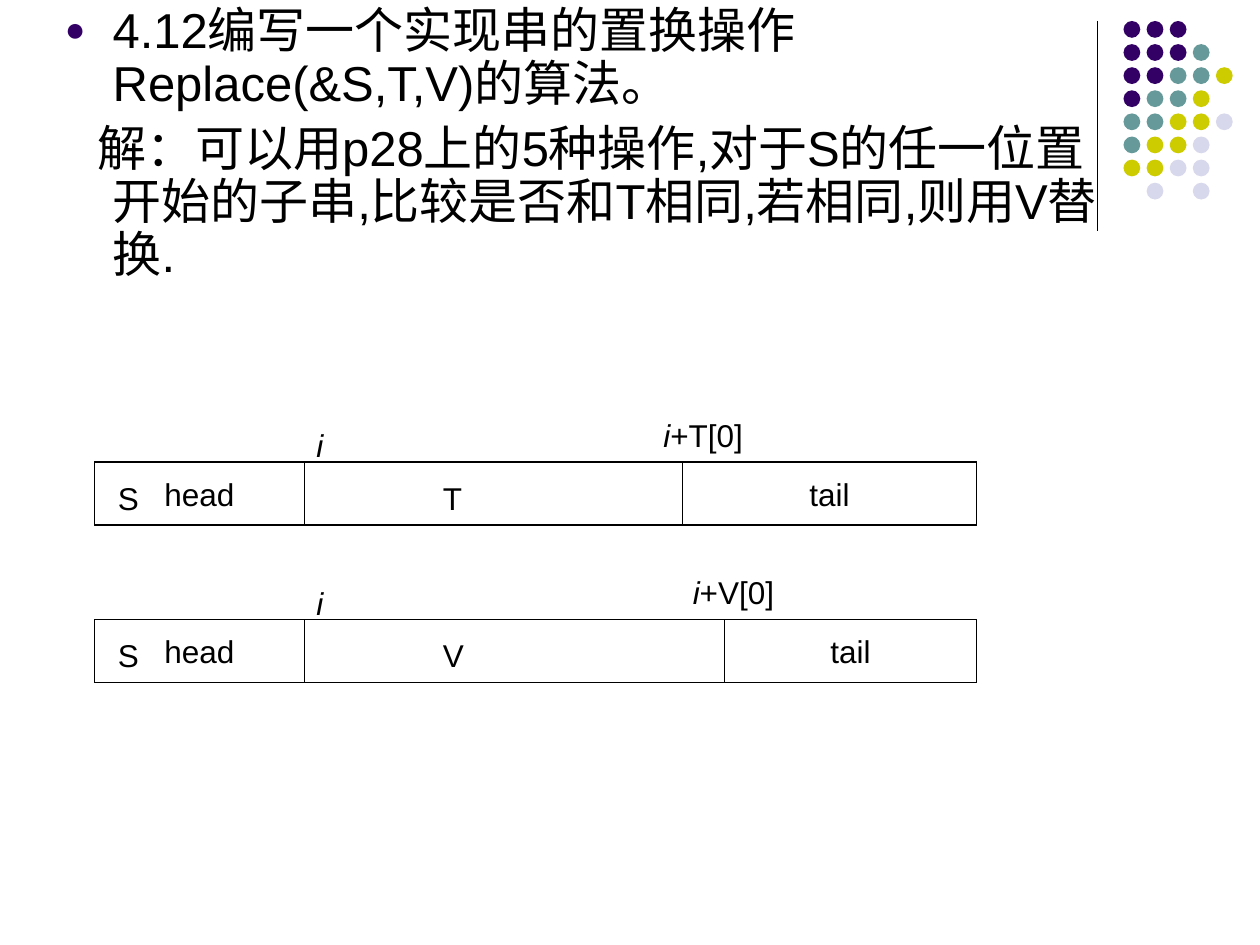
import pptx
import pptx.util
import pptx.dml.color
import pptx.enum.shapes
import pptx.enum.text
import pptx.oxml
import pptx.oxml.ns

THEME = {
    "font": "Arial",
    "body_size": 28,
    "label_size": 18,
    "line_width": 0.75,
    "black": "000000",
    "white": "FFFFFF",
    "dots": {"P": "330066", "T": "669999", "Y": "CCCC00", "L": "D8D8EC"},
}
SHAPES = pptx.enum.shapes.MSO_SHAPE
ALIGN = pptx.enum.text.PP_ALIGN
ANCHOR = pptx.enum.text.MSO_ANCHOR
STRAIGHT = pptx.enum.shapes.MSO_CONNECTOR.STRAIGHT
rgb = pptx.dml.color.RGBColor.from_string

presentation = pptx.Presentation()
presentation.slide_width = pptx.util.Inches(10)
presentation.slide_height = pptx.util.Inches(7.5)
slide = presentation.slides.add_slide(presentation.slide_layouts[6])

# The slide is a grid of 120 columns by 90 rows
UNIT = presentation.slide_width // 120


def grid(*cells):
    return [round(cell * UNIT) for cell in cells]


def write(paragraph, pieces, size):
    """Fill a paragraph with (text, italic) pieces."""
    for text, italic in pieces:
        run = paragraph.add_run()
        run.text = text
        run.font.name = THEME["font"]
        run.font.size = pptx.util.Pt(size)
        run.font.italic = italic
        run.font.color.rgb = rgb(THEME["black"])


# Corner decoration: vertical rule and dot pattern
lines = [(104.5, 2, 104.5, 22)]
dot_rows = ["PPP", "PPPT", "PPTTY", "PTTY", "TTYYL", "TYYL", "YYLL", " L L"]
dot_group = slide.shapes.add_group_shape()
for row, pattern in enumerate(dot_rows):
    for column, key in enumerate(pattern):
        if key == " ":
            continue
        dot = dot_group.shapes.add_shape(
            SHAPES.OVAL, *grid(107 + 2.2 * column, 2 + 2.2 * row, 1.6, 1.6))
        dot.shadow.inherit = False
        dot.fill.solid()
        dot.fill.fore_color.rgb = rgb(THEME["dots"][key])
        dot.line.fill.background()

# Exercise and solution text
body = slide.shapes.add_textbox(*grid(5, 0, 103, 29)).text_frame
body.word_wrap = True
body_texts = [
    ("4.12编写一个实现串的置换操作Replace(&S,T,V)的算法。", -0.38),
    ("解：可以用p28上的5种操作,对于S的任一位置开始的子串,比较是否和T相同,若相同,则用V替换.", -0.12),
]
for index, (text, indent) in enumerate(body_texts):
    paragraph = body.paragraphs[0] if index == 0 else body.add_paragraph()
    paragraph.line_spacing = 0.9
    properties = paragraph._p.get_or_add_pPr()
    properties.set("marL", str(pptx.util.Inches(0.38)))
    properties.set("indent", str(pptx.util.Inches(indent)))
    if index == 0:
        bullet = [
            f'<a:buClr %s><a:srgbClr val="{THEME["dots"]["P"]}"/></a:buClr>',
            '<a:buSzPct %s val="70000"/>',
            f'<a:buFont %s typeface="{THEME["font"]}"/>',
            '<a:buChar %s char="●"/>',
        ]
        for element in bullet:
            properties.append(pptx.oxml.parse_xml(element % pptx.oxml.ns.nsdecls("a")))
    else:
        paragraph.space_before = pptx.util.Pt(7)
    write(paragraph, [(text, False)], THEME["body_size"])

# String diagrams before and after the replacement:
# top row, middle part, column where the tail starts, column of its label
LEFT, MIDDLE, RIGHT, HEIGHT = 9, 29, 93, 6
diagrams = [(44, "T", 65, 62), (59, "V", 69, 64.8)]
for top, name, tail, tail_label in diagrams:
    bars = [(LEFT, RIGHT, ""), (tail, RIGHT, "tail"), (LEFT, MIDDLE, "head")]
    for start, end, text in bars:
        bar = slide.shapes.add_shape(
            SHAPES.RECTANGLE, *grid(start, top, end - start, HEIGHT))
        bar.shadow.inherit = False
        bar.fill.solid()
        bar.fill.fore_color.rgb = rgb(THEME["white"])
        bar.line.color.rgb = rgb(THEME["black"])
        bar.line.width = pptx.util.Pt(THEME["line_width"])
        if text:
            frame = bar.text_frame
            frame.word_wrap = False
            frame.vertical_anchor = ANCHOR.MIDDLE
            frame.paragraphs[0].alignment = ALIGN.CENTER
            write(frame.paragraphs[0], [(text, False)], THEME["label_size"])

    lines += [(column, top, column, top + HEIGHT) for column in (MIDDLE, tail)]

    # Labels are a little wider than their text, so that none of them breaks
    labels = [
        (28.95, top - 4, 3.2, [("i", True)]),
        (41, top + 1, 4.6, [(name, False)]),
        (tail_label, top - 5, 10.8, [("i", True), (f"+{name}[0]", False)]),
        (10.05, top + 1, 4.6, [("S", False)]),
    ]
    for left, label_top, width, pieces in labels:
        frame = slide.shapes.add_textbox(*grid(left, label_top, width, 4.8)).text_frame
        frame.word_wrap = True
        write(frame.paragraphs[0], pieces, THEME["label_size"])

# Corner rule and the dividers between string parts
for ends in lines:
    line = slide.shapes.add_connector(STRAIGHT, *grid(*ends))
    line.line.color.rgb = rgb(THEME["black"])
    line.line.width = pptx.util.Pt(THEME["line_width"])
    line._element.spPr.append(
        pptx.oxml.parse_xml("<a:effectLst %s/>" % pptx.oxml.ns.nsdecls("a")))

presentation.save("out.pptx")
